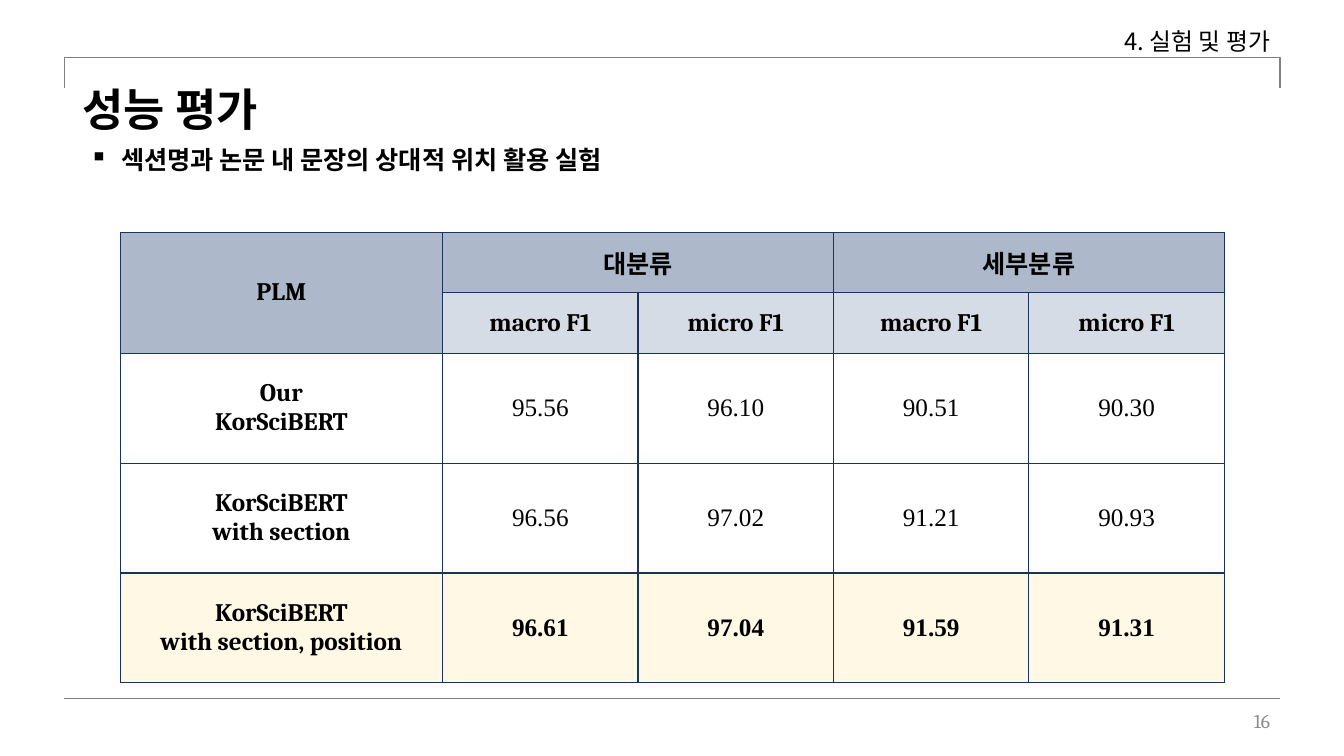
from lxml import etree
from pptx import Presentation
from pptx.dml.color import RGBColor
from pptx.enum.shapes import MSO_CONNECTOR, MSO_SHAPE
from pptx.enum.text import MSO_ANCHOR, MSO_AUTO_SIZE, PP_ALIGN
from pptx.oxml.ns import qn
from pptx.util import Pt

STRAIGHT = MSO_CONNECTOR.STRAIGHT
BRACKET = MSO_SHAPE.RIGHT_BRACKET
TOP, MIDDLE = MSO_ANCHOR.TOP, MSO_ANCHOR.MIDDLE
LEFT, CENTER, RIGHT = PP_ALIGN.LEFT, PP_ALIGN.CENTER, PP_ALIGN.RIGHT

BLACK = RGBColor(0x00, 0x00, 0x00)
RULE_GRAY = RGBColor(0x80, 0x80, 0x80)
NUMBER_GRAY = RGBColor(0x8C, 0x8C, 0x8C)
BORDER_NAVY = RGBColor(0x1A, 0x33, 0x5C)
GROUP_BLUE = RGBColor(0xAD, 0xB9, 0xCA)
METRIC_BLUE = RGBColor(0xD6, 0xDC, 0xE5)
BEST_GOLD = RGBColor(0xFF, 0xC0, 0x00)

KOREAN, SERIF, NUMERIC = "Noto Sans CJK KR", "Cambria", "Times New Roman"

TITLE = {"name": KOREAN, "size": Pt(32), "bold": True}
SUBTITLE = {"name": KOREAN, "size": Pt(18), "bold": True}
CHAPTER = {"name": KOREAN, "size": Pt(17)}
PAGE_NUMBER = {"name": SERIF, "size": Pt(14)}
LABEL = {"name": SERIF, "size": Pt(18), "bold": True}
SCORE = {"name": NUMERIC, "size": Pt(18), "bold": False}
BEST_SCORE = {**SCORE, "bold": True}

COLUMN_WIDTHS = [230.4] + [139.6] * 4
ROW_HEIGHTS = [43.2] * 2 + [78.5] * 3
GROUPS = ["대분류", "세부분류"]
METRICS = ["macro F1", "micro F1"]
RESULTS = [
    ("Our\nKorSciBERT", ["95.56", "96.10", "90.51", "90.30"]),
    ("KorSciBERT\nwith section", ["96.56", "97.02", "91.21", "90.93"]),
    ("KorSciBERT\nwith section, position", ["96.61", "97.04", "91.59", "91.31"]),
]


def write_text(frame, text, style, align=LEFT, color=BLACK):
    """Write one formatted paragraph for each line of text."""
    for index, line in enumerate(text.split("\n")):
        para = frame.add_paragraph() if index else frame.paragraphs[0]
        para.alignment = align
        span = para.add_run()
        span.text = line
        span.font.color.rgb = color
        for attribute, value in style.items():
            setattr(span.font, attribute, value)
        properties = span.font._element
        etree.SubElement(properties, qn("a:ea"), typeface=style["name"])


def add_text(page, place, text, style, align=LEFT, color=BLACK, anchor=TOP):
    """Add a wrapping text box and return its text frame."""
    frame = page.shapes.add_textbox(*map(Pt, place)).text_frame
    frame.word_wrap = True
    frame.vertical_anchor = anchor
    if anchor == TOP:
        frame.auto_size = MSO_AUTO_SIZE.SHAPE_TO_FIT_TEXT
    write_text(frame, text, style, align, color)
    return frame


def add_bullet(para, symbol, indent):
    """Give a paragraph a hanging bullet."""
    para.space_after = Pt(6)
    properties = para._p.get_or_add_pPr()
    properties.set("marL", str(Pt(indent)))
    properties.set("indent", str(-Pt(indent)))
    etree.SubElement(properties, qn("a:buChar"), char=symbol)


def add_rule(page, left, right, top):
    """Add a horizontal gray line."""
    rule = page.shapes.add_connector(STRAIGHT, Pt(left), Pt(top), Pt(right), Pt(top))
    rule.line.color.rgb = RULE_GRAY
    rule.line.width = Pt(1)
    etree.SubElement(rule._element.spPr, qn("a:effectLst"))


def add_header_bracket(page, place):
    """Add the square bracket that opens downwards under the chapter name."""
    bracket = page.shapes.add_shape(BRACKET, *map(Pt, place))
    bracket.adjustments[0] = 0
    bracket.rotation = 270
    bracket.shadow.inherit = False
    bracket.fill.background()
    bracket.line.color.rgb = RULE_GRAY
    bracket.line.width = Pt(1)


def add_borders(cell):
    """Draw a thin navy line on all four sides of a cell."""
    properties = cell._tc.get_or_add_tcPr()
    for side in ("lnL", "lnR", "lnT", "lnB"):
        line = etree.SubElement(properties, qn(f"a:{side}"), w=str(Pt(1)))
        fill = etree.SubElement(line, qn("a:solidFill"))
        etree.SubElement(fill, qn("a:srgbClr"), val=str(BORDER_NAVY))


def fill_cell(cell, color, opacity=100):
    """Fill a cell with a colour, or leave it clear."""
    if color is None:
        cell.fill.background()
        return
    cell.fill.solid()
    cell.fill.fore_color.rgb = color
    if opacity < 100:
        tint = cell._tc.tcPr.find(f"{qn('a:solidFill')}/{qn('a:srgbClr')}")
        etree.SubElement(tint, qn("a:alpha"), val=str(opacity * 1000))


def write_cell(cell, text, style, color=None, opacity=100):
    """Write centred text into a filled cell."""
    cell.vertical_anchor = MIDDLE
    fill_cell(cell, color, opacity)
    write_text(cell.text_frame, text, style, CENTER)


def add_results_table(page, left, top):
    """Add the table of F1 scores for each model."""
    size = sum(COLUMN_WIDTHS), sum(ROW_HEIGHTS)
    frame = page.shapes.add_table(
        len(ROW_HEIGHTS), len(COLUMN_WIDTHS), *map(Pt, (left, top, *size)))
    table = frame.table
    table.first_row = table.horz_banding = False
    for column, width in zip(table.columns, COLUMN_WIDTHS):
        column.width = Pt(width)
    for row, height in zip(table.rows, ROW_HEIGHTS):
        row.height = Pt(height)
    for cell in table.iter_cells():
        add_borders(cell)

    table.cell(0, 0).merge(table.cell(1, 0))
    write_cell(table.cell(0, 0), "PLM", LABEL, GROUP_BLUE)
    for index, group in enumerate(GROUPS):
        first = 1 + index * len(METRICS)
        table.cell(0, first).merge(table.cell(0, first + len(METRICS) - 1))
        write_cell(table.cell(0, first), group, SUBTITLE, GROUP_BLUE)
        for column, metric in enumerate(METRICS, first):
            write_cell(table.cell(1, column), metric, LABEL, METRIC_BLUE)

    for row, (model, scores) in enumerate(RESULTS, 2):
        best = row == len(RESULTS) + 1
        color, opacity = (BEST_GOLD, 10) if best else (None, 100)
        write_cell(table.cell(row, 0), model, LABEL, color, opacity)
        for column, score in enumerate(scores, 1):
            style = BEST_SCORE if best else SCORE
            write_cell(table.cell(row, column), score, style, color, opacity)


def main():
    """Build the evaluation slide."""
    deck = Presentation()
    deck.slide_width, deck.slide_height = Pt(960), Pt(540)
    page = deck.slides.add_slide(deck.slide_layouts[6])
    add_text(page, (698.4, 500.4, 216, 28.8), "16", PAGE_NUMBER,
             RIGHT, NUMBER_GRAY, MIDDLE)
    add_results_table(page, 85.8, 165.9)
    add_header_bracket(page, (469.4, -382.3, 21.6, 868.3))
    add_rule(page, 45.4, 914.4, 499)
    add_text(page, (51.8, 54.7, 822.2, 46), "성능 평가", TITLE)
    subtitle = add_text(page, (56.9, 99.4, 442.8, 28.8),
                        "섹션명과 논문 내 문장의 상대적 위치 활용 실험", SUBTITLE)
    add_bullet(subtitle.paragraphs[0], "▪", 22.5)
    add_text(page, (588.2, 15.8, 326.2, 28), "4. 실험 및 평가", CHAPTER, RIGHT)
    deck.save("out.pptx")


if __name__ == "__main__":
    main()
